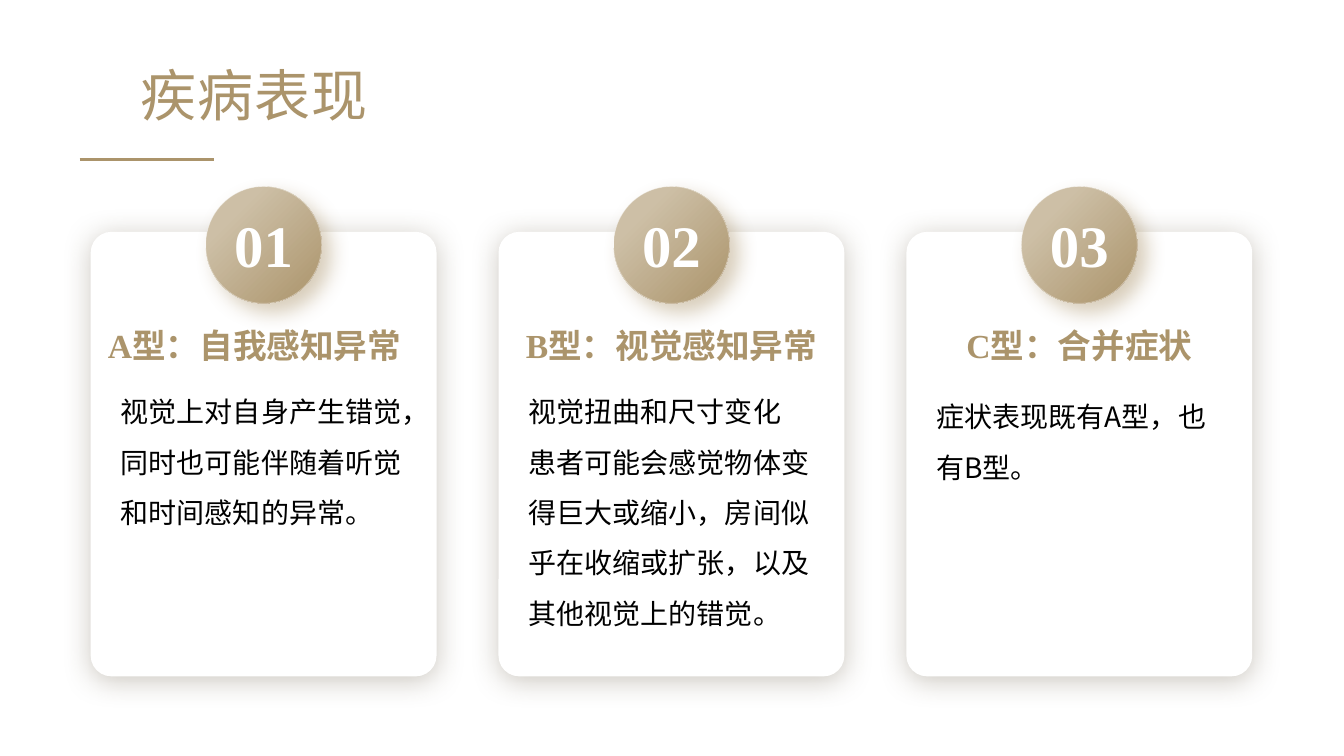
import lxml.etree
import pptx
import pptx.dml.color
import pptx.enum.shapes
import pptx.enum.text
import pptx.oxml.ns
import pptx.util

Inches = pptx.util.Inches
Pt = pptx.util.Pt
Shape = pptx.enum.shapes.MSO_SHAPE
Align = pptx.enum.text.PP_ALIGN
qn = pptx.oxml.ns.qn

COLORS = {name: pptx.dml.color.RGBColor.from_string(value) for name, value in {
    "gold": "AB946B", "sand": "CDBFA6", "brown": "594B32",
    "white": "FFFFFF", "black": "000000"}.items()}
SERIF, SANS = "Times New Roman", "Noto Sans CJK SC"


def write(box, paragraphs, size, font, color, bold=False, align=Align.CENTER, spacing=None):
    frame = box.text_frame
    frame.word_wrap = True
    frame.vertical_anchor = pptx.enum.text.MSO_ANCHOR.TOP
    frame.text = "\n".join(paragraphs)
    for para in frame.paragraphs:
        para.alignment = align
        para.line_spacing = spacing
        for span in para.runs:
            span.font.size = Pt(size)
            span.font.name = font
            span.font.bold = bold
            span.font.color.rgb = COLORS[color]
            east_asian = lxml.etree.SubElement(span.font._element, qn("a:ea"))
            east_asian.set("typeface", SANS)


def cast_shadow(shape, color, opacity, blur, distance, angle):
    shape.shadow.inherit = False
    effects = shape._element.spPr.find(qn("a:effectLst"))
    shadow = lxml.etree.SubElement(
        effects, qn("a:outerShdw"), blurRad=str(Pt(blur)), dist=str(Pt(distance)),
        dir=str(angle * 60000), algn="ctr", rotWithShape="0")
    tint = lxml.etree.SubElement(shadow, qn("a:srgbClr"), val=str(COLORS[color]))
    lxml.etree.SubElement(tint, qn("a:alpha"), val=str(opacity * 1000))


deck = pptx.Presentation()
deck.slide_width, deck.slide_height = Inches(13.33), Inches(7.5)
page = deck.slides.add_slide(deck.slide_layouts.get_by_name("Title Only"))

title = page.shapes.title
title.left, title.top, title.width, title.height = map(Inches, (0, 0.55, 5.04, 0.77))
write(title, ["疾病表现"], 40, SERIF, "gold")
title.text_frame.paragraphs[0].runs[0].font._element.set("spc", "100")

rule = page.shapes.add_connector(
    pptx.enum.shapes.MSO_CONNECTOR.STRAIGHT,
    Inches(0.79), Inches(1.58), Inches(2.12), Inches(1.58))
rule.line.color.rgb = COLORS["gold"]
rule.line.width = Pt(2)
lxml.etree.SubElement(rule._element.spPr, qn("a:effectLst"))

CARD_LEFT, CARD_TOP, CARD_WIDTH, CARD_HEIGHT = 0.9, 2.3, 3.43, 4.41
PITCH = (8.99 - CARD_LEFT) / 2
types = [
    ("A型：自我感知异常", -0.09, 3.7,
     ["视觉上对自身产生错觉，同时也可能伴随着听觉和时间感知的异常。"]),
    ("B型：视觉感知异常", 0, 3.7,
     ["视觉扭曲和尺寸变化",
      "患者可能会感觉物体变得巨大或缩小，房间似乎在收缩或扩张，以及其他视觉上的错觉。"]),
    ("C型：合并症状", 0, 3.75, ["症状表现既有A型，也有B型。"]),
]

for column, (heading, shift, body_top, body) in enumerate(types):
    left = CARD_LEFT + column * PITCH

    card = page.shapes.add_shape(
        Shape.ROUNDED_RECTANGLE, Inches(left), Inches(CARD_TOP),
        Inches(CARD_WIDTH), Inches(CARD_HEIGHT))
    card.adjustments[0] = 0.06
    card.fill.solid()
    card.fill.fore_color.rgb = COLORS["white"]
    card.line.fill.background()
    cast_shadow(card, "brown", 30, 20, 3, 90)

    badge = page.shapes.add_shape(
        Shape.OVAL, Inches(left + 1.14), Inches(1.85), Inches(1.15), Inches(1.16))
    badge.fill.gradient()
    badge.fill.gradient_angle = 315
    for stop, position, color in zip(badge.fill.gradient_stops, (0.24, 1), ("sand", "gold")):
        stop.position = position
        stop.color.rgb = COLORS[color]
    badge.line.color.rgb = COLORS["white"]
    badge.line.width = Pt(0.5)
    outline = badge._element.spPr.find(qn("a:ln")).find(".//" + qn("a:srgbClr"))
    lxml.etree.SubElement(outline, qn("a:alpha"), val="40000")
    cast_shadow(badge, "gold", 45, 14, 9, 45)

    number = page.shapes.add_textbox(
        Inches(left + 1.11), Inches(2.02), Inches(1.21), Inches(0.81))
    write(number, [f"{column + 1:02d}"], 42, SERIF, "white", bold=True)

    label = page.shapes.add_textbox(
        Inches(left + shift), Inches(3.17), Inches(CARD_WIDTH), Inches(0.5))
    write(label, [heading], 24, SERIF, "gold", bold=True)

    detail = page.shapes.add_textbox(
        Inches(left + 0.2), Inches(body_top), Inches(3.04), Inches(3.03))
    write(detail, body, 20, SANS, "black", align=Align.LEFT, spacing=1.5)

deck.save("out.pptx")
